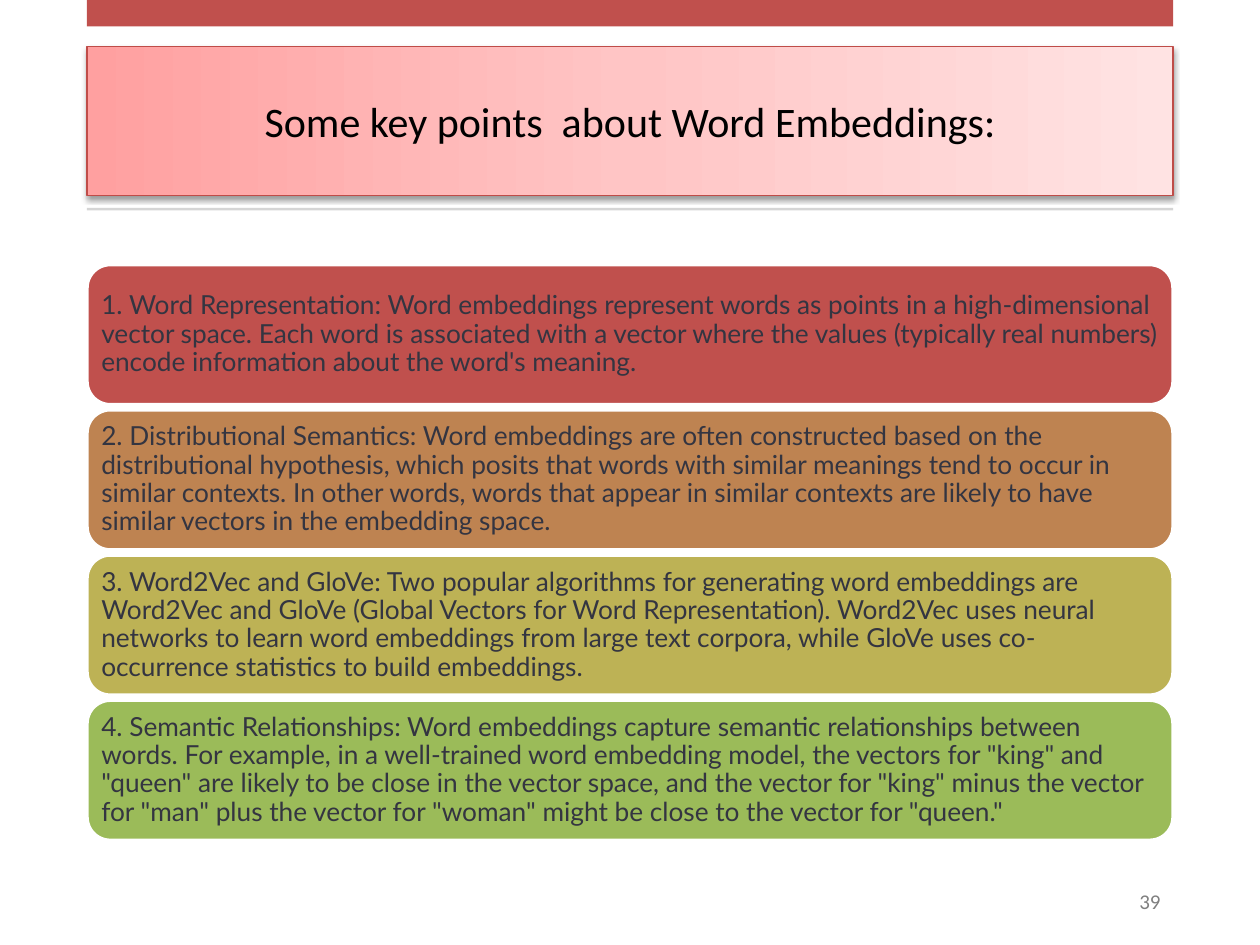
from lxml import etree
from pptx import Presentation
from pptx.dml.color import RGBColor
from pptx.enum.shapes import MSO_SHAPE
from pptx.enum.text import MSO_ANCHOR, MSO_AUTO_SIZE, PP_ALIGN
from pptx.oxml import parse_xml
from pptx.oxml.ns import nsdecls
from pptx.util import Inches, Pt

RECT, ROUND = MSO_SHAPE.RECTANGLE, MSO_SHAPE.ROUNDED_RECTANGLE
MIDDLE, NO_FIT = MSO_ANCHOR.MIDDLE, MSO_AUTO_SIZE.NONE
LEFT, CENTER, RIGHT = PP_ALIGN.LEFT, PP_ALIGN.CENTER, PP_ALIGN.RIGHT

COLORS = {
    "black": "000000", "white": "FFFFFF", "ink": "343541", "grey": "808080",
    "rule": "D5D5D5", "red": "C0504D", "border": "BF4C48",
    "brown": "BE8351", "olive": "BDB255", "green": "9BBB59",
}
TITLE_STOPS = {0: "FFA0A0", 50: "FFC5C5", 100: "FFE3E3"}
MARGIN, WIDTH = 0.69, 8.62

POINTS = [
    ("red", "1. Word Representation: Word embeddings represent words as points in a "
     "high-dimensional vector space. Each word is associated with a vector where the "
     "values (typically real numbers) encode information about the word's meaning."),
    ("brown", "2. Distributional Semantics: Word embeddings are often constructed based "
     "on the distributional hypothesis, which posits that words with similar meanings "
     "tend to occur in similar contexts. In other words, words that appear in similar "
     "contexts are likely to have similar vectors in the embedding space."),
    ("olive", "3. Word2Vec and GloVe: Two popular algorithms for generating word "
     "embeddings are Word2Vec and GloVe (Global Vectors for Word Representation). "
     "Word2Vec uses neural networks to learn word embeddings from large text corpora, "
     "while GloVe uses co-occurrence statistics to build embeddings."),
    ("green", "4. Semantic Relationships: Word embeddings capture semantic relationships "
     "between words. For example, in a well-trained word embedding model, the vectors "
     "for \"king\" and \"queen\" are likely to be close in the vector space, and the "
     "vector for \"king\" minus the vector for \"man\" plus the vector for \"woman\" "
     "might be close to the vector for \"queen.\""),
]


def rgb(name):
    """Return the named colour."""
    return RGBColor.from_string(COLORS[name])


def write(sp, text, size, color, font="Calibri", align=LEFT, spacing=1.0, inset=0.1):
    """Put one formatted paragraph in a shape."""
    tf = sp.text_frame
    tf.word_wrap, tf.auto_size, tf.vertical_anchor = True, NO_FIT, MIDDLE
    tf.margin_left = tf.margin_right = Inches(inset)
    tf.margin_top = tf.margin_bottom = Inches(min(inset, 0.06))
    p = tf.paragraphs[0]
    p.alignment, p.line_spacing = align, spacing
    r = p.add_run()
    r.text = text
    r.font.size, r.font.name, r.font.color.rgb = Pt(size), font, rgb(color)


def add_block(s, kind, box, color, line=None):
    """Add a flat filled shape."""
    sp = s.shapes.add_shape(kind, *map(Inches, box))
    sp.shadow.inherit = False
    sp.fill.solid()
    sp.fill.fore_color.rgb = rgb(color)
    if line:
        sp.line.color.rgb, sp.line.width = rgb(line), Pt(2)
    else:
        sp.line.fill.background()
    return sp


def add_title(s, box, text):
    """Format the title placeholder as a gradient panel with a shadow."""
    sp = s.shapes.title
    sp.left, sp.top, sp.width, sp.height = map(Inches, box)
    sp.fill.gradient()
    sp.fill.gradient_angle = 0
    stops = sp.element.spPr.find(".//{*}gsLst")
    for stop in list(stops):
        stops.remove(stop)
    for pos, color in TITLE_STOPS.items():
        stop = etree.SubElement(stops, stops.tag.replace("gsLst", "gs"), pos=str(pos * 1000))
        etree.SubElement(stop, stops.tag.replace("gsLst", "srgbClr"), val=color)
    sp.line.color.rgb, sp.line.width = rgb("border"), Pt(0.75)
    sp.element.spPr.append(parse_xml(
        f'<a:effectLst {nsdecls("a")}><a:outerShdw blurRad="{Pt(3.1)}" dist="{Pt(1.6)}" '
        f'dir="5400000" rotWithShape="0"><a:srgbClr val="{COLORS["black"]}">'
        '<a:alpha val="38000"/></a:srgbClr></a:outerShdw></a:effectLst>'))
    write(sp, text, 24, "black", align=CENTER)


def add_points(s, box, points, gap=0.04):
    """Stack equal rounded panels in the box."""
    left, top, width, height = box
    pitch = (height + gap) / len(points)
    for i, (color, text) in enumerate(points):
        panel = (left, top + i * pitch, width, pitch - gap)
        sp = add_block(s, ROUND, panel, color, line="white")
        write(sp, text, 15, "ink", font="Lato", spacing=0.9, inset=0.06)


def add_page_number(s, box, number):
    """Add the page number at the right of the box."""
    sp = s.shapes.add_textbox(*map(Inches, box))
    write(sp, number, 12, "grey", align=RIGHT)


def main():
    """Build and save the slide."""
    prs = Presentation()
    prs.slide_width, prs.slide_height = Inches(10), Inches(7.5)
    s = prs.slides.add_slide(prs.slide_layouts[5])
    add_title(s, (MARGIN, 0.37, WIDTH, 1.18), "Some key points  about Word Embeddings:")
    add_block(s, RECT, (MARGIN, 0, WIDTH, 0.21), "red")
    add_block(s, RECT, (MARGIN, 1.65, WIDTH, 0.02), "rule")
    add_points(s, (MARGIN, 2.1, WIDTH, 4.57), POINTS)
    add_page_number(s, (7.15, 6.95, 2.16, 0.4), "39")
    prs.save("out.pptx")


if __name__ == "__main__":
    main()
